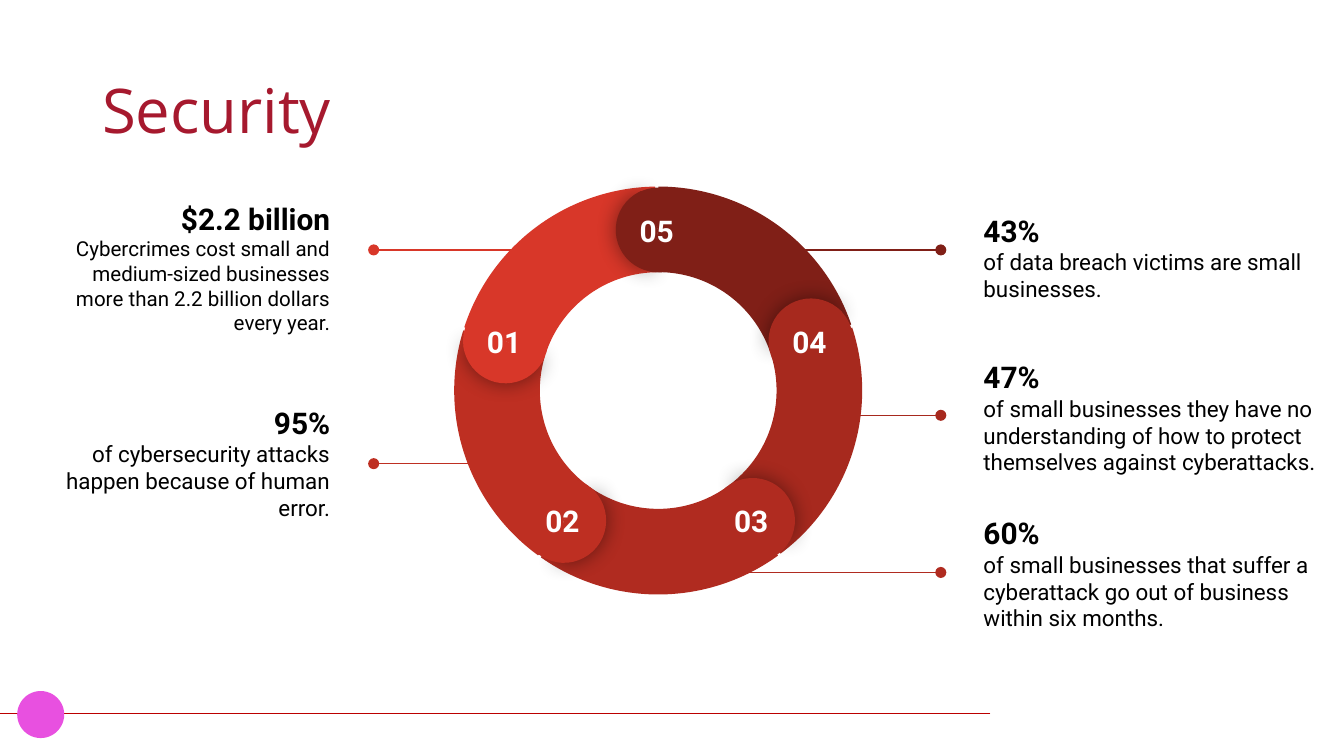
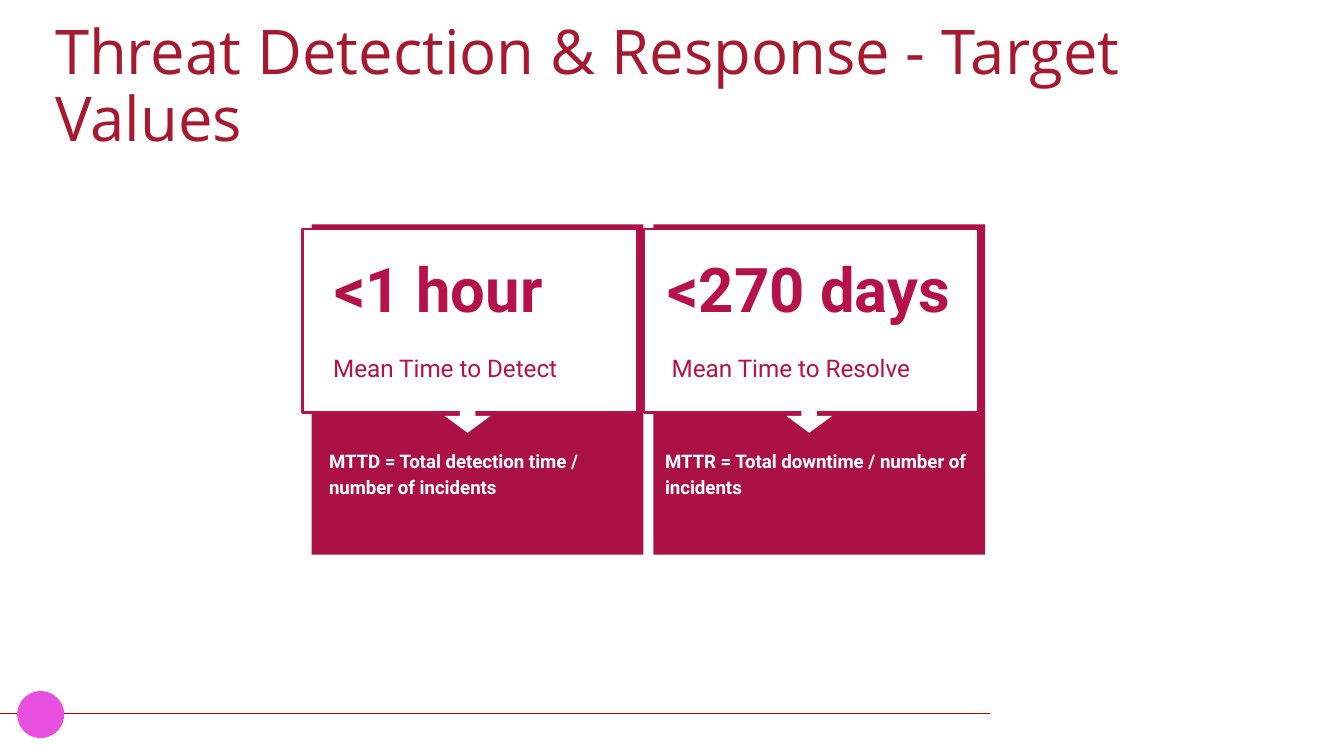
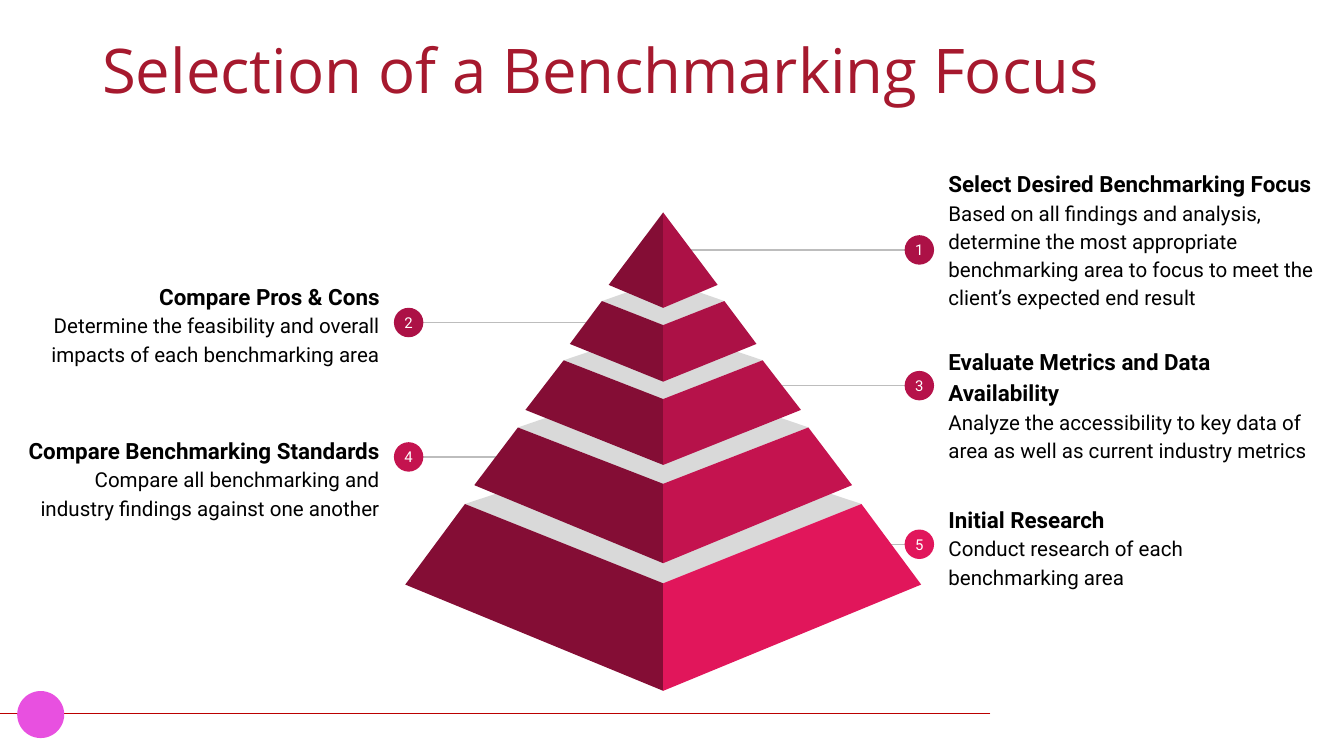
import math

import pptx
import pptx.dml.color
import pptx.enum.shapes
import pptx.enum.text
import pptx.util
from lxml import etree
from pptx.oxml.ns import qn

Pt = pptx.util.Pt
Kind = pptx.enum.shapes.MSO_SHAPE
Align = pptx.enum.text.PP_ALIGN
Anchor = pptx.enum.text.MSO_ANCHOR

# Shared look
RED, RULE, DOT = "A6192E", "BB0000", "E850E0"
WHITE, BLACK, GRAY, PALE = "FFFFFF", "000000", "BDBDBD", "D9D9D9"
WINE, ROSE, DARK = "AC1146", "B6124A", "840D35"

# Slide 1: label, colour, side, figure, text, text size,
# box (top, width, height), start of the line, height of the line
FACTS = [
    ("01", "D83729", "left", "$2.2 billion",
     "Cybercrimes cost small and medium-sized businesses more than "
     "2.2 billion dollars every year.", 11, (101.5, 167, 84), 296.6, 133.9),
    ("02", "BE2F22", "left", "95%",
     "of cybersecurity attacks happen because of human error.",
     12, (211.7, 179.5, 72.7), 273.6, 248.4),
    ("03", "B02B20", "right", "60%",
     "of small businesses that suffer a cyberattack go out of business "
     "within six months.", 12, (270.7, 196, 72.7), 359.3, 306.7),
    ("04", "A7291E", "right", "47%",
     "of small businesses they have no understanding of how to protect "
     "themselves against cyberattacks.", 12, (177, 196, 93), 434.2, 222.5),
    ("05", "801F17", "right", "43%",
     "of data breach victims are small businesses.",
     12, (101.5, 196, 72.7), 402.5, 133.9),
]
FACT_EDGE = {"left": 184, "right": 519.8}
LINE_END = {"left": 200.2, "right": 504}
RING_X, RING_Y, RING_SIZE = 352.6, 209.2, 218.5
CAP_PATH, CAP_SIZE = 86, 45.4

# Slide 2: each part as (left, text)
CARDS = [
    {"value": (172, "<1 hour"), "label": (171.4, "Mean Time to Detect"),
     "rule": (169.2, "MTTD = Total detection time / number of incidents")},
    {"value": (350.6, "<270 days"), "label": (352.8, "Mean Time to Resolve"),
     "rule": (349.2, "MTTR = Total downtime / number of incidents")},
]
CARD_LEFT, CARD_STEP = 167, 183

# Slide 3: colour, side, head, text, box (top, width, height),
# start of the line, height of the line
STEPS = [
    (WINE, "right", "Select Desired Benchmarking Focus",
     "Based on all findings and analysis, determine the most appropriate "
     "benchmarking area to focus to meet the client’s expected end result",
     (92.2, 211.7, 70.6), 368, 133.9),
    (WINE, "left", "Compare Pros & Cons",
     "Determine the feasibility and overall impacts of each benchmarking area",
     (143.3, 195, 59), 316, 172.8),
    (ROSE, "right", "Evaluate Metrics and Data Availability",
     "Analyze the accessibility to key data of area as well as current "
     "industry metrics", (177, 211.7, 78.5), 410.4, 206.6),
    ("C4134F", "left", "Compare Benchmarking Standards",
     "Compare all benchmarking and industry findings against one another",
     (216, 203.8, 78.5), 280.8, 244.8),
    ("E1165B", "right", "Initial Research",
     "Conduct research of each benchmarking area",
     (262.8, 201, 59), 450, 291.6),
]
STEP_EDGE = {"left": 210.6, "right": 501}
MARK_X = {"left": 218.9, "right": 492.5}
MARK_SIZE = 15.8
MID = 355.3
# Half width, side and middle height of the top edge, the same of the
# bottom edge, and the back corner of the top face
TIERS = [
    (0, 113.8, 113.8, 29.2, 152.6, 164.9, None),
    (32.8, 161.3, 174.2, 50, 184.3, 204.5, 149.8),
    (53.3, 193, 213.8, 73.8, 219.6, 249.1, 175),
    (77.8, 229, 259.2, 101.2, 259.9, 301.7, 202.3),
    (106.2, 270, 312.5, 138.2, 313.2, 370.1, 234.7),
]


# Drawing helpers
def tint(code):
    return pptx.dml.color.RGBColor.from_string(code)


def write(shape, lines, font="Roboto", color=BLACK, align=Align.LEFT,
          anchor=Anchor.TOP, space=None, inset=(7.2, 7.2)):
    """Fill a shape with lines of (text, size, bold)."""
    frame = shape.text_frame
    frame.word_wrap = True
    frame.auto_size = pptx.enum.text.MSO_AUTO_SIZE.NONE
    frame.vertical_anchor = anchor
    frame.margin_left = frame.margin_right = Pt(inset[0])
    frame.margin_top = frame.margin_bottom = Pt(inset[1])
    for i, (text, size, bold) in enumerate(lines):
        para = frame.add_paragraph() if i else frame.paragraphs[0]
        para.alignment = align
        para.line_spacing = space
        run = para.add_run()
        run.text = text
        run.font.name, run.font.size, run.font.bold = font, Pt(size), bold
        run.font.color.rgb = tint(color)


def label(slide, box, lines, **form):
    write(slide.shapes.add_textbox(*map(Pt, box)), lines, **form)


def paint(shape, fill, line=None):
    shape.shadow.inherit = False
    shape.fill.solid()
    shape.fill.fore_color.rgb = tint(fill)
    if line:
        shape.line.color.rgb = tint(line)
        shape.line.width = Pt(1.5)
    else:
        shape.line.fill.background()


def draw(slide, kind, box, fill, line=None, turn=0, bend=()):
    shape = slide.shapes.add_shape(kind, *map(Pt, box))
    paint(shape, fill, line)
    shape.rotation = turn % 360
    for i, value in enumerate(bend):
        shape.adjustments[i] = value
    return shape


def face(slide, points, fill):
    spots = [(Pt(x), Pt(y)) for x, y in points]
    path = slide.shapes.build_freeform(*spots[0])
    path.add_line_segments(spots[1:], close=True)
    paint(path.convert_to_shape(), fill)


def rule(slide, start, end, y, color, dot=False):
    line = slide.shapes.add_connector(
        pptx.enum.shapes.MSO_CONNECTOR.STRAIGHT,
        Pt(start), Pt(y), Pt(end), Pt(y))
    line.line.color.rgb = tint(color)
    line.line.width = Pt(0.75)
    if dot:
        etree.SubElement(line.line._get_or_add_ln(), qn("a:tailEnd"), type="oval")
    etree.SubElement(line._element.spPr, qn("a:effectLst"))


def glow(shape):
    """Add a soft shadow all round."""
    effects = shape._element.spPr.find(qn("a:effectLst"))
    soft = etree.SubElement(effects, qn("a:outerShdw"), blurRad=str(Pt(11.2)),
                            dist="0", dir="0", algn="ctr", rotWithShape="0")
    shade = etree.SubElement(soft, qn("a:srgbClr"), val=BLACK)
    etree.SubElement(shade, qn("a:alpha"), val="43000")


def around(x, y, size):
    return x - size / 2, y - size / 2, size, size


def beside(side, edge, box):
    """Place a box against the text edge of its side."""
    top, width, height = box
    return edge[side] - (width if side == "left" else 0), top, width, height


def toward(side):
    return Align.RIGHT if side == "left" else Align.LEFT


def start(deck, text, box):
    """Open a slide with its title, bottom rule and dot."""
    slide = deck.slides.add_slide(deck.slide_layouts[5])
    title = slide.shapes.title
    title.left, title.top, title.width, title.height = map(Pt, box)
    write(title, [(text, 33, False)], font="Open Sans", color=RED,
          anchor=Anchor.MIDDLE, space=0.9, inset=(5.04, 2.88))
    rule(slide, 530.6, 0, 382.3, RULE)
    draw(slide, Kind.ROUNDED_RECTANGLE, (9.2, 370.2, 25.2, 25.2), DOT, bend=[0.5])
    return slide


# Slide 1: ring of facts
def ring(deck):
    slide = start(deck, "Security", (49.7, 21.6, 620.6, 78.5))
    angles = [198 - 72 * i for i in range(len(FACTS))]
    for _, color, side, head, text, size, box, begin, y in FACTS:
        rule(slide, begin, LINE_END[side], y, color, dot=True)
        label(slide, beside(side, FACT_EDGE, box),
              [(head, 16, True), (text, size, False)],
              align=toward(side), anchor=Anchor.MIDDLE)
    for angle, fact in zip(angles, FACTS):
        draw(slide, Kind.BLOCK_ARC, around(RING_X, RING_Y, RING_SIZE), fact[1],
             turn=angle + 150, bend=[126.03, 168.68, 0.21])
    for angle, (number, color, *_) in zip(angles, FACTS):
        x = RING_X + CAP_PATH * math.cos(math.radians(angle))
        y = RING_Y + CAP_PATH * math.sin(math.radians(angle))
        cap = around(x, y, CAP_SIZE)
        glow(draw(slide, Kind.PIE, cap, color, turn=angle + 86,
                  bend=[61.9, 149.96]))
        draw(slide, Kind.PIE, cap, color, turn=angle + 265.5,
             bend=[40.28, 171.84])
        label(slide, (x - 20.9, y - 16.5, 40.3, 21), [(number, 16, True)],
              color=WHITE, align=Align.CENTER)


# Slide 2: target cards
def cards(deck):
    slide = start(deck, "Threat Detection & Response - Target Values",
                  (24.5, 7.9, 686.2, 78.5))
    for i, card in enumerate(CARDS):
        left = CARD_LEFT + i * CARD_STEP
        draw(slide, Kind.RECTANGLE, (left, 120.2, 177.8, 177), WINE)
        draw(slide, Kind.RECTANGLE, (left - 5, 122.7, 179.3, 98.3), WHITE, ROSE)
        draw(slide, Kind.RIGHT_ARROW, (left + 75.6, 211.7, 15.8, 24.5), WHITE,
             turn=90, bend=[0.34, 0.57])
        for part, top, width, height, size, bold, color, space in (
                ("label", 182, 164, 23, 13, False, ROSE, None),
                ("value", 127.4, 166, 28, 33, True, ROSE, None),
                ("rule", 232.2, 177, 51, 10, True, WHITE, 1.15)):
            x, text = card[part]
            label(slide, (x, top, width, height), [(text, size, bold)],
                  color=color, space=space)


# Slide 3: pyramid of steps
def pyramid(deck):
    slide = start(deck, "Selection of a Benchmarking Focus",
                  (49.7, 0, 620.6, 78.5))
    for i, (color, side, head, text, box, begin, y) in enumerate(STEPS, 1):
        rule(slide, begin, MARK_X[side], y, GRAY)
        mark = draw(slide, Kind.OVAL, around(MARK_X[side], y, MARK_SIZE), color)
        write(mark, [(str(i), 8, False)], color=WHITE, align=Align.CENTER,
              anchor=Anchor.MIDDLE, inset=(0, 0))
        label(slide, beside(side, STEP_EDGE, box),
              [(head, 12, True), (text, 11, False)],
              align=toward(side), anchor=Anchor.MIDDLE, space=1.15)
    # Lowest tier first, so that each one covers the top face below it
    for tier, step in reversed(list(zip(TIERS, STEPS))):
        top, side_top, mid_top, base, side_base, mid_base, back = tier
        if back:
            face(slide, [(MID - top, side_top), (MID, mid_top),
                         (MID + top, side_top), (MID, back)], PALE)
        for sign, fill in ((-1, DARK), (1, step[0])):
            face(slide, [(MID + sign * top, side_top), (MID, mid_top),
                         (MID, mid_base), (MID + sign * base, side_base)], fill)


def main():
    deck = pptx.Presentation()
    deck.slide_width, deck.slide_height = Pt(720), Pt(405)
    ring(deck)
    cards(deck)
    pyramid(deck)
    deck.save("out.pptx")


if __name__ == "__main__":
    main()
